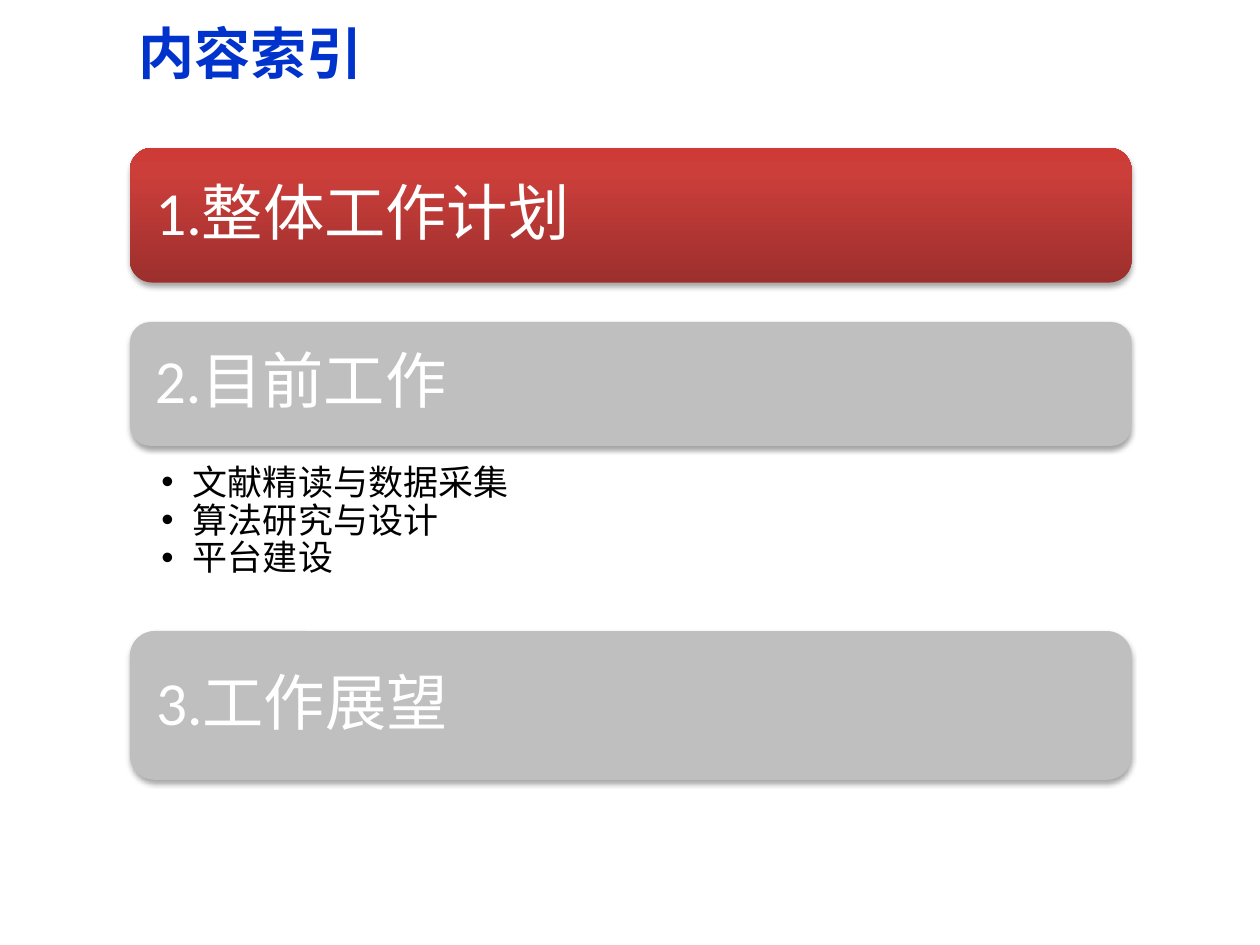
"""Build a contents slide with three section bars and a list of current tasks."""
from copy import deepcopy
from dataclasses import dataclass

from lxml import etree
from pptx import Presentation
from pptx.dml.color import RGBColor
from pptx.enum.shapes import MSO_SHAPE
from pptx.enum.text import MSO_ANCHOR, MSO_AUTO_SIZE, PP_ALIGN
from pptx.oxml.ns import qn
from pptx.util import Pt

ROUNDED = MSO_SHAPE.ROUNDED_RECTANGLE
MIDDLE, TOP = MSO_ANCHOR.MIDDLE, MSO_ANCHOR.TOP
NO_FIT = MSO_AUTO_SIZE.NONE
LEFT = PP_ALIGN.LEFT

BLUE = RGBColor(0x00, 0x33, 0xCC)
WHITE = RGBColor(0xFF, 0xFF, 0xFF)
BLACK = RGBColor(0x00, 0x00, 0x00)
GREY = RGBColor(0xBF, 0xBF, 0xBF)
RED_STOPS = (
    (0, RGBColor(0x9C, 0x2F, 0x2D)),
    (0.8, RGBColor(0xCB, 0x3E, 0x3A)),
    (1, RGBColor(0xCE, 0x3B, 0x37)),
)

LATIN_FONT = "Calibri"
CHINESE_FONT = "Noto Sans CJK SC"
BAR_LEFT, BAR_WIDTH = 74.2, 572.4


@dataclass(frozen=True)
class Section:
    text: str
    top: float
    height: float
    active: bool = False


SECTIONS = (
    Section("1.整体工作计划", 84.5, 77, active=True),
    Section("2.目前工作", 184, 70.8),
    Section("3.工作展望", 360.6, 85),
)
TASKS = ("文献精读与数据采集", "算法研究与设计", "平台建设")


def place(shape, left: float, top: float, width: float, height: float) -> None:
    shape.left, shape.top = Pt(left), Pt(top)
    shape.width, shape.height = Pt(width), Pt(height)


def set_frame(frame, anchor, left: float, top: float, right: float, bottom: float) -> None:
    frame.word_wrap = True
    frame.auto_size = NO_FIT
    frame.vertical_anchor = anchor
    frame.margin_left, frame.margin_top = Pt(left), Pt(top)
    frame.margin_right, frame.margin_bottom = Pt(right), Pt(bottom)


def write(para, text: str, *, size: float, color: RGBColor, font: str = LATIN_FONT,
          bold: bool = False, spacing: float = 0.9) -> None:
    para.alignment = LEFT
    para.line_spacing = spacing
    para.space_before = para.space_after = Pt(0)
    span = para.add_run()
    span.text = text
    span.font.size, span.font.bold, span.font.name = Pt(size), bold, font
    span.font.color.rgb = color
    properties = span.font._element
    etree.SubElement(properties, qn("a:ea"), typeface=CHINESE_FONT)


def add_bullet(para) -> None:
    para.level = 1
    properties = para._p.get_or_add_pPr()
    properties.set("marL", str(Pt(18)))
    properties.set("indent", str(Pt(-18)))
    etree.SubElement(properties, qn("a:buFont"), typeface="Arial")
    etree.SubElement(properties, qn("a:buChar"), char="•")


def add_shadow(shape) -> None:
    shape.shadow.inherit = False
    effects = shape._element.spPr.find(qn("a:effectLst"))
    shadow = etree.SubElement(effects, qn("a:outerShdw"), blurRad=str(Pt(3.1)),
                              dist=str(Pt(1.8)), dir="5400000", rotWithShape="0")
    color = etree.SubElement(shadow, qn("a:srgbClr"), val=str(BLACK))
    etree.SubElement(color, qn("a:alpha"), val="35000")


def fill_red(shape) -> None:
    shape.fill.gradient()
    shape.fill.gradient_angle = 90
    stop_list = shape._element.spPr.find(".//" + qn("a:gsLst"))
    stop_list.append(deepcopy(stop_list[-1]))
    for stop, (position, color) in zip(shape.fill.gradient_stops, RED_STOPS):
        stop.position = position
        stop.color.rgb = color


def add_section(page, section: Section) -> None:
    bar = page.shapes.add_shape(ROUNDED, Pt(BAR_LEFT), Pt(section.top),
                                Pt(BAR_WIDTH), Pt(section.height))
    if section.active:
        fill_red(bar)
    else:
        bar.fill.solid()
        bar.fill.fore_color.rgb = GREY
    bar.line.fill.background()
    add_shadow(bar)
    set_frame(bar.text_frame, MIDDLE, 10.8, 10.8, 10.8, 10.8)
    write(bar.text_frame.paragraphs[0], section.text, size=35, color=WHITE)


def fill_title(title) -> None:
    place(title, 72, -1.4, 648, 62.6)
    set_frame(title.text_frame, MIDDLE, 7.2, 3.6, 7.2, 3.6)
    write(title.text_frame.paragraphs[0], "内容索引", size=32, color=BLUE,
          font=CHINESE_FONT, bold=True, spacing=1.0)


def fill_tasks(body) -> None:
    place(body, BAR_LEFT, 263.5, BAR_WIDTH, 85.7)
    frame = body.text_frame
    set_frame(frame, TOP, 18, 2.2, 11.5, 2.2)
    for index, task in enumerate(TASKS):
        para = frame.add_paragraph() if index else frame.paragraphs[0]
        write(para, task, size=20, color=BLACK)
        add_bullet(para)


def main() -> None:
    deck = Presentation()
    deck.slide_width, deck.slide_height = Pt(720), Pt(540)
    page = deck.slides.add_slide(deck.slide_layouts[1])
    fill_title(page.shapes.title)
    fill_tasks(page.placeholders[1])
    for section in SECTIONS:
        add_section(page, section)
    deck.save("out.pptx")


if __name__ == "__main__":
    main()
